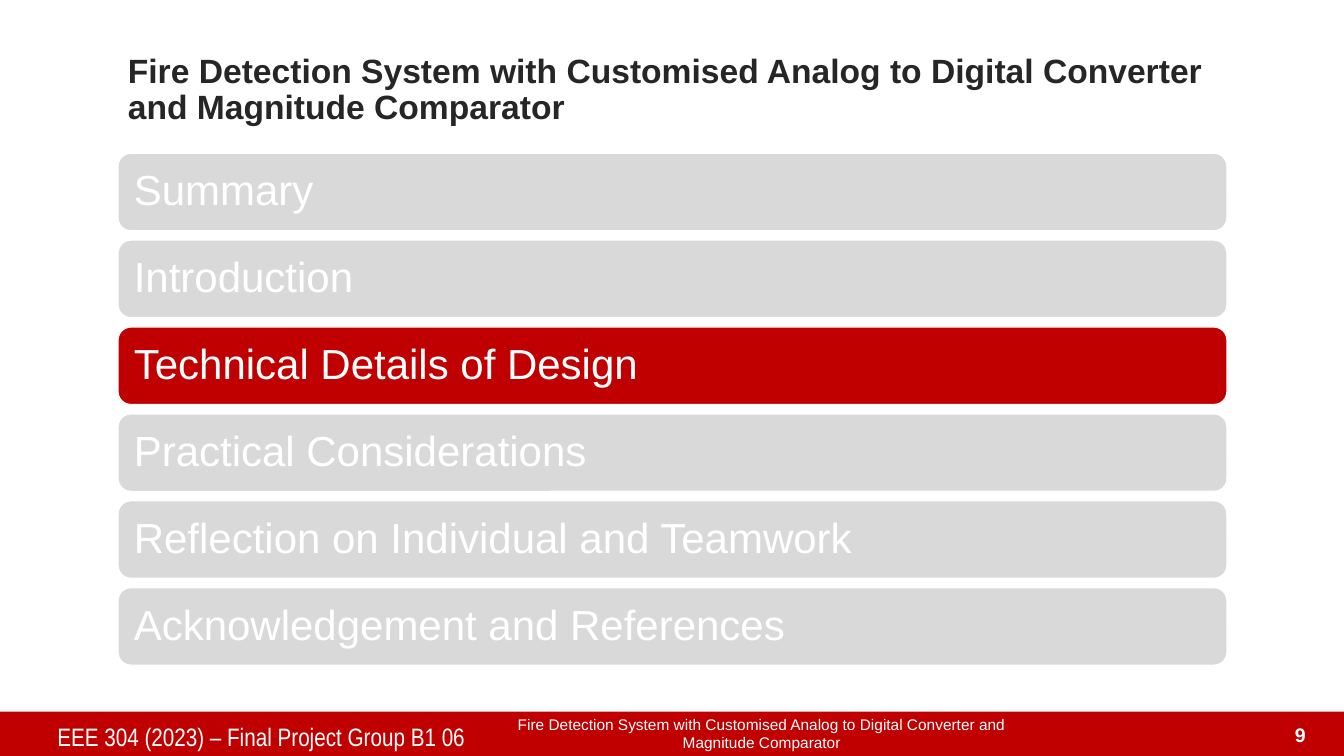
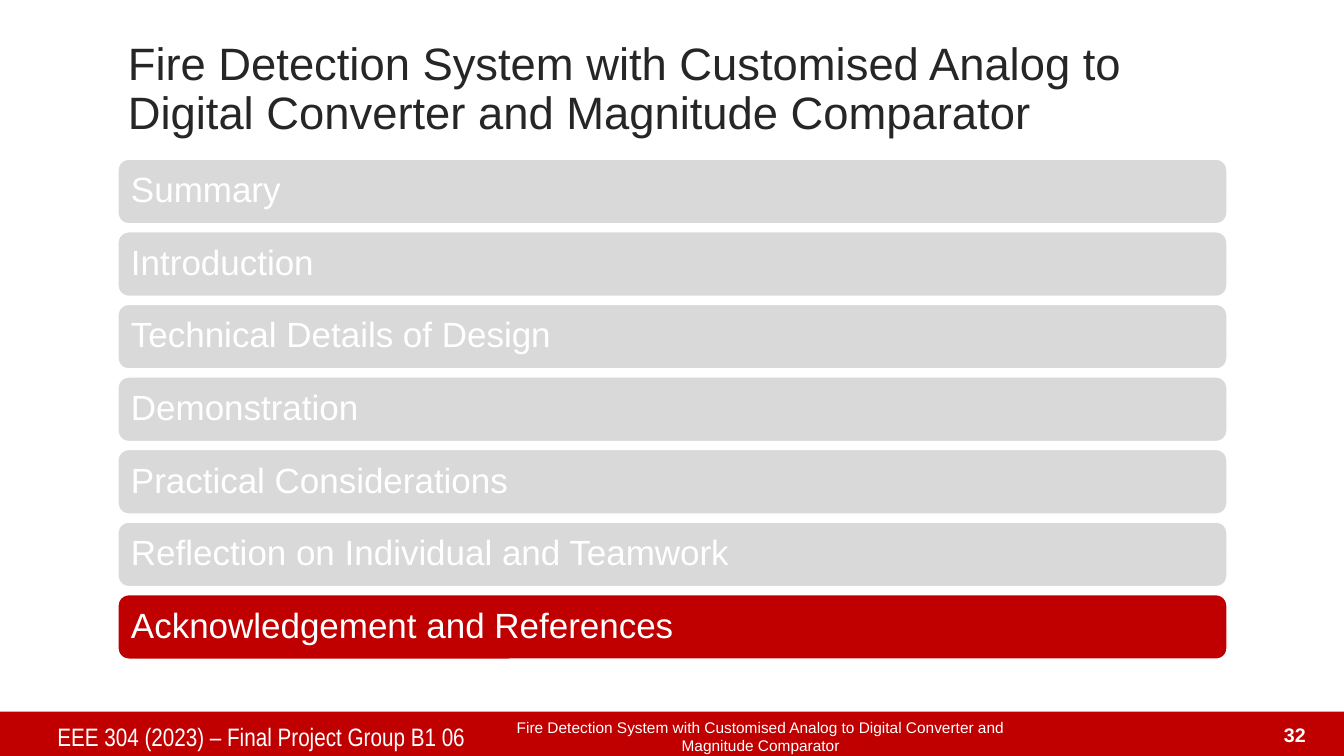
from dataclasses import dataclass

from pptx import Presentation
from pptx.dml.color import RGBColor
from pptx.enum import shapes, text
from pptx.util import Inches, Pt

RED = RGBColor(0xC0, 0x00, 0x00)
GREY = RGBColor(0xD9, 0xD9, 0xD9)
WHITE = RGBColor(0xFF, 0xFF, 0xFF)
DARK = RGBColor(0x26, 0x26, 0x26)

SLIDE_WIDTH, SLIDE_HEIGHT = 13.33, 7.5
MARGIN, CONTENT_WIDTH = 1.17, 11
TITLE = "Fire Detection System with Customised Analog to Digital Converter and Magnitude Comparator"
GROUP_NAME = "EEE 304 (2023) – Final Project Group B1 06"

Box = tuple[float, float, float, float]


@dataclass(frozen=True)
class TextStyle:
    size: float
    color: RGBColor = WHITE
    bold: bool = False
    font: str = "Arial"
    align: text.PP_ALIGN = text.PP_ALIGN.LEFT
    anchor: text.MSO_ANCHOR = text.MSO_ANCHOR.TOP
    line_spacing: float = 1.0


@dataclass(frozen=True)
class Agenda:
    """An agenda slide: its bars run evenly from first_top to last_top."""
    number: int
    topics: list[str]
    current: str
    title_size: float
    title_bold: bool
    first_top: float
    last_top: float
    bar_height: float
    bar_inset: float
    bar_text_size: float
    footer_box: Box


def write(shape, words: str, style: TextStyle) -> None:
    frame = shape.text_frame
    frame.word_wrap = True
    frame.vertical_anchor = style.anchor
    frame.text = words
    paragraph = frame.paragraphs[0]
    paragraph.alignment = style.align
    paragraph.line_spacing = style.line_spacing
    font = paragraph.runs[0].font
    font.name = style.font
    font.size = Pt(style.size)
    font.bold = style.bold
    font.color.rgb = style.color


def add_text(slide, box: Box, words: str, style: TextStyle) -> None:
    write(slide.shapes.add_textbox(*map(Inches, box)), words, style)


def add_block(slide, kind: shapes.MSO_SHAPE, box: Box, fill: RGBColor):
    shape = slide.shapes.add_shape(kind, *map(Inches, box))
    shape.shadow.inherit = False
    shape.fill.solid()
    shape.fill.fore_color.rgb = fill
    shape.line.fill.background()
    return shape


def add_title(slide, agenda: Agenda) -> None:
    style = TextStyle(agenda.title_size, DARK, agenda.title_bold,
                      anchor=text.MSO_ANCHOR.MIDDLE, line_spacing=0.9)
    add_text(slide, (MARGIN, 0.5, CONTENT_WIDTH, 0.8), TITLE, style)


def add_bars(slide, agenda: Agenda) -> None:
    style = TextStyle(agenda.bar_text_size, anchor=text.MSO_ANCHOR.MIDDLE, line_spacing=0.9)
    pitch = (agenda.last_top - agenda.first_top) / (len(agenda.topics) - 1)
    for index, topic in enumerate(agenda.topics):
        box = (MARGIN, agenda.first_top + index * pitch, CONTENT_WIDTH, agenda.bar_height)
        fill = RED if topic == agenda.current else GREY
        bar = add_block(slide, shapes.MSO_SHAPE.ROUNDED_RECTANGLE, box, fill)
        bar.line.color.rgb = WHITE
        bar.line.width = Pt(1)
        frame = bar.text_frame
        frame.margin_left = frame.margin_right = Inches(agenda.bar_inset)
        frame.margin_top = frame.margin_bottom = Inches(agenda.bar_inset)
        write(bar, topic, style)


def add_footer(slide, agenda: Agenda) -> None:
    add_block(slide, shapes.MSO_SHAPE.RECTANGLE, (0, 7.06, SLIDE_WIDTH, 0.45), RED)
    add_text(slide, (0.47, 7.11, 4.34, 0.43), GROUP_NAME, TextStyle(18, font="Arial Narrow"))
    add_text(slide, agenda.footer_box, TITLE, TextStyle(11, align=text.PP_ALIGN.CENTER))
    add_text(slide, (12.48, 7.11, 0.57, 0.34), str(agenda.number),
             TextStyle(14, bold=True, align=text.PP_ALIGN.RIGHT, anchor=text.MSO_ANCHOR.BOTTOM))


OPENING = ["Summary", "Introduction", "Technical Details of Design"]
CLOSING = ["Practical Considerations", "Reflection on Individual and Teamwork",
           "Acknowledgement and References"]

AGENDAS = [
    Agenda(number=9, topics=OPENING + CLOSING, current="Technical Details of Design",
           title_size=24, title_bold=True, first_top=1.52, last_top=5.83,
           bar_height=0.77, bar_inset=0.12, bar_text_size=30,
           footer_box=(4.68, 7.04, 5.75, 0.41)),
    Agenda(number=32, topics=OPENING + ["Demonstration"] + CLOSING,
           current="Acknowledgement and References",
           title_size=32.4, title_bold=False, first_top=1.58, last_top=5.9,
           bar_height=0.64, bar_inset=0.1, bar_text_size=25,
           footer_box=(4.81, 7.07, 5.47, 0.41)),
]


def main() -> None:
    presentation = Presentation()
    presentation.slide_width = Inches(SLIDE_WIDTH)
    presentation.slide_height = Inches(SLIDE_HEIGHT)
    for agenda in AGENDAS:
        slide = presentation.slides.add_slide(presentation.slide_layouts[6])
        add_title(slide, agenda)
        add_bars(slide, agenda)
        add_footer(slide, agenda)
    presentation.save("out.pptx")


if __name__ == "__main__":
    main()
